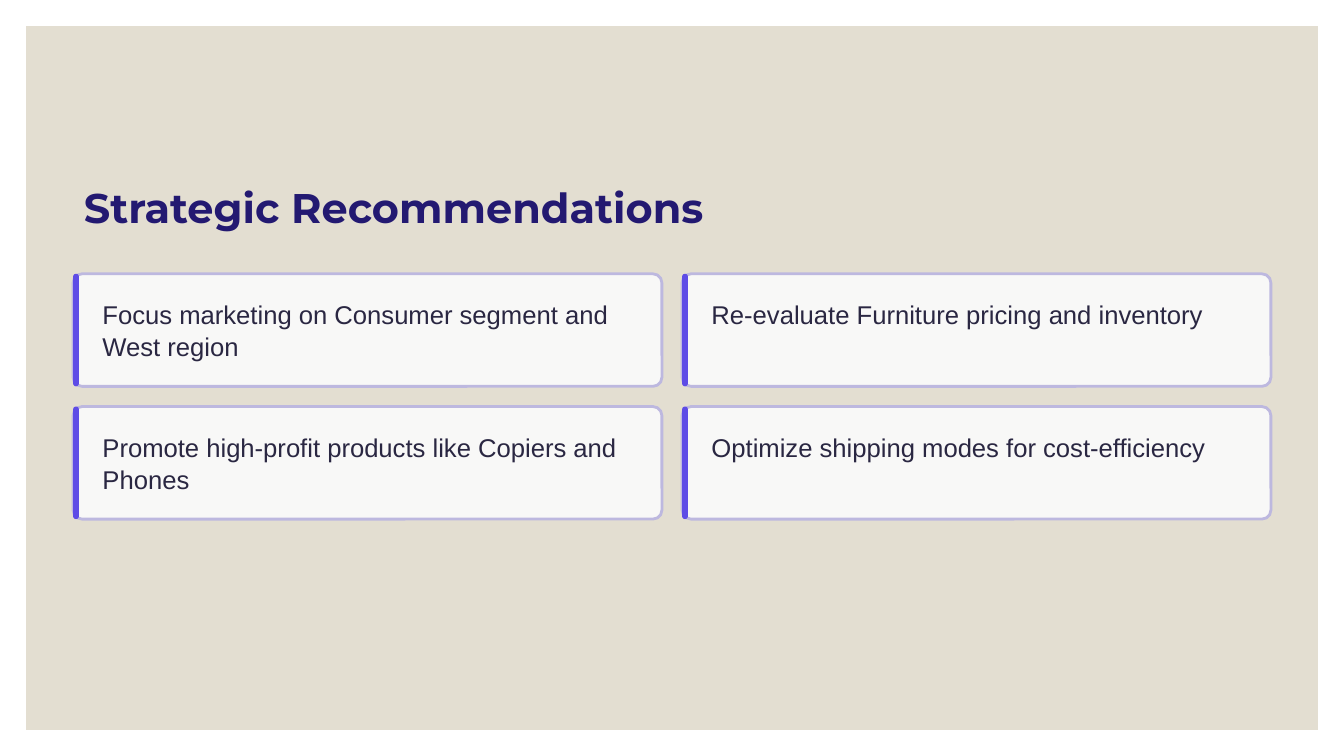
import lxml.etree
import pptx
import pptx.dml.color
import pptx.enum.shapes
import pptx.oxml.ns
import pptx.util

COLORS = {
    "backdrop": "E3DED1",
    "title": "231971",
    "card": "FAFAFA",
    "border": "BDB8DF",
    "accent": "5E4CE6",
    "body": "2A2742",
}
RECOMMENDATIONS = [
    "Focus marketing on Consumer segment and West region",
    "Re-evaluate Furniture pricing and inventory",
    "Promote high-profit products like Copiers and Phones",
    "Optimize shipping modes for cost-efficiency",
]


class RecommendationSlide:
    """Draws a titled grid of recommendation cards on one slide."""

    margin, top = 0.87, 3.26
    card_width, card_height, gap = 7.01, 1.34, 0.24
    shapes_kind = pptx.enum.shapes.MSO_SHAPE

    def __init__(self, deck):
        self.slide = deck.slides.add_slide(deck.slide_layouts[6])

    def color(self, name):
        return pptx.dml.color.RGBColor.from_string(COLORS[name])

    def box(self, left, top, width, height, fill, rounding=None):
        kind = self.shapes_kind.RECTANGLE if rounding is None else self.shapes_kind.ROUNDED_RECTANGLE
        panel = self.slide.shapes.add_shape(
            kind, *map(pptx.util.Inches, (left, top, width, height)))
        if rounding is not None:
            panel.adjustments[0] = rounding
        panel.shadow.inherit = False
        panel.fill.solid()
        panel.fill.fore_color.rgb = self.color(fill)
        panel.line.fill.background()
        return panel

    def text(self, wording, left, top, width, height, font, size, leading, color, bold=False):
        label = self.slide.shapes.add_textbox(
            *map(pptx.util.Inches, (left, top, width, height)))
        frame = label.text_frame
        frame.margin_left = frame.margin_right = frame.margin_top = frame.margin_bottom = 0
        frame.word_wrap = True
        frame.text = wording
        paragraph = frame.paragraphs[0]
        paragraph.line_spacing = pptx.util.Pt(leading)
        style = paragraph.runs[0].font
        style.name, style.size, style.bold = font, pptx.util.Pt(size), bold
        style.color.rgb = self.color(color)

    def card(self, wording, column, row):
        left = self.margin + column * (self.card_width + self.gap)
        top = self.top + row * (self.card_height + self.gap)
        panel = self.box(left, top, self.card_width, self.card_height, "card", 0.08)
        panel.line.color.rgb = self.color("border")
        panel.line.width = pptx.util.Pt(2.4)
        qn = pptx.oxml.ns.qn
        tint = panel.element.spPr.find(qn("a:solidFill")).find(qn("a:srgbClr"))
        lxml.etree.SubElement(tint, qn("a:alpha")).set("val", "95000")
        self.box(left, top, 0.07, self.card_height, "accent", 0.5)
        self.text(wording, left + 0.35, top + 0.28, 6.38, 0.78, "Arial", 22, 27.5, "body")


def main():
    deck = pptx.Presentation()
    deck.slide_width, deck.slide_height = pptx.util.Inches(16), pptx.util.Inches(9)
    page = RecommendationSlide(deck)
    page.box(0.31, 0.31, 15.38, 8.38, "backdrop")
    page.text("Strategic Recommendations", 1, 2.14, 8, 0.62,
              "Montserrat", 35.5, 44.5, "title", bold=True)
    for index, wording in enumerate(RECOMMENDATIONS):
        row, column = divmod(index, 2)
        page.card(wording, column, row)
    deck.save("out.pptx")


if __name__ == "__main__":
    main()
